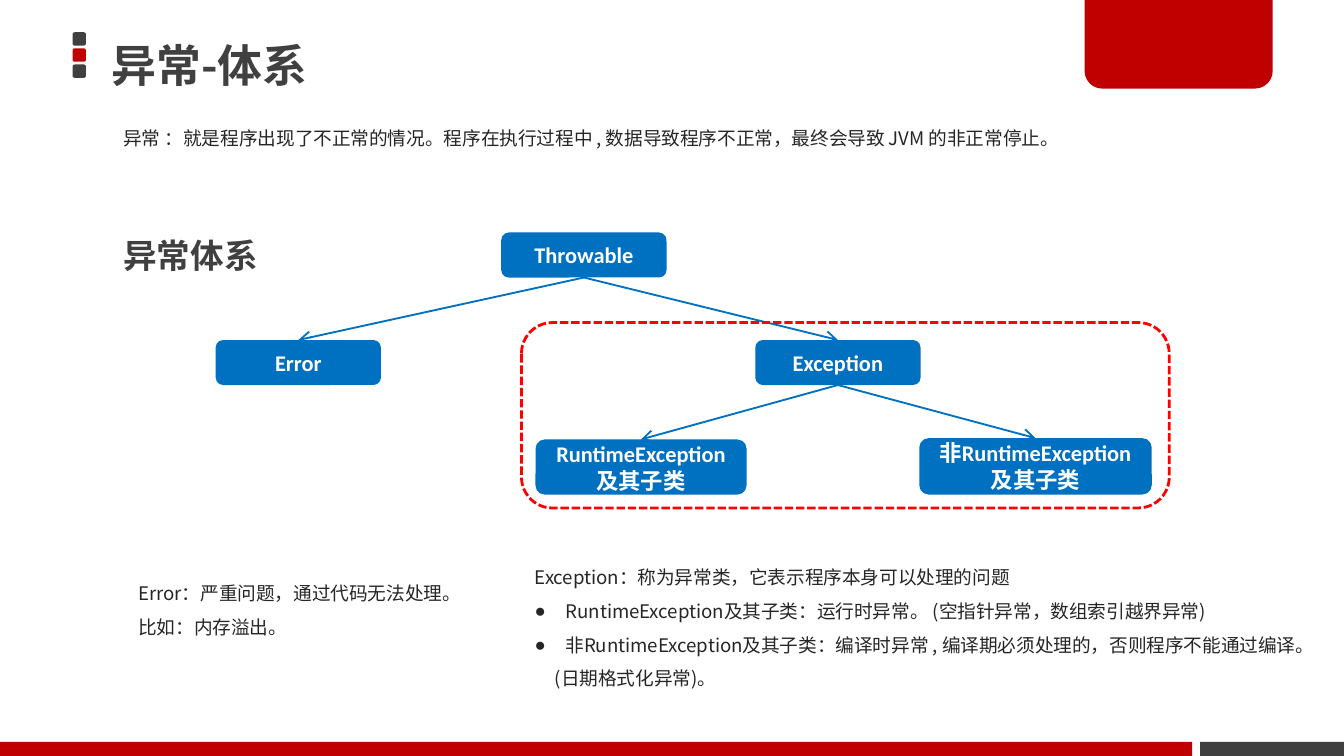
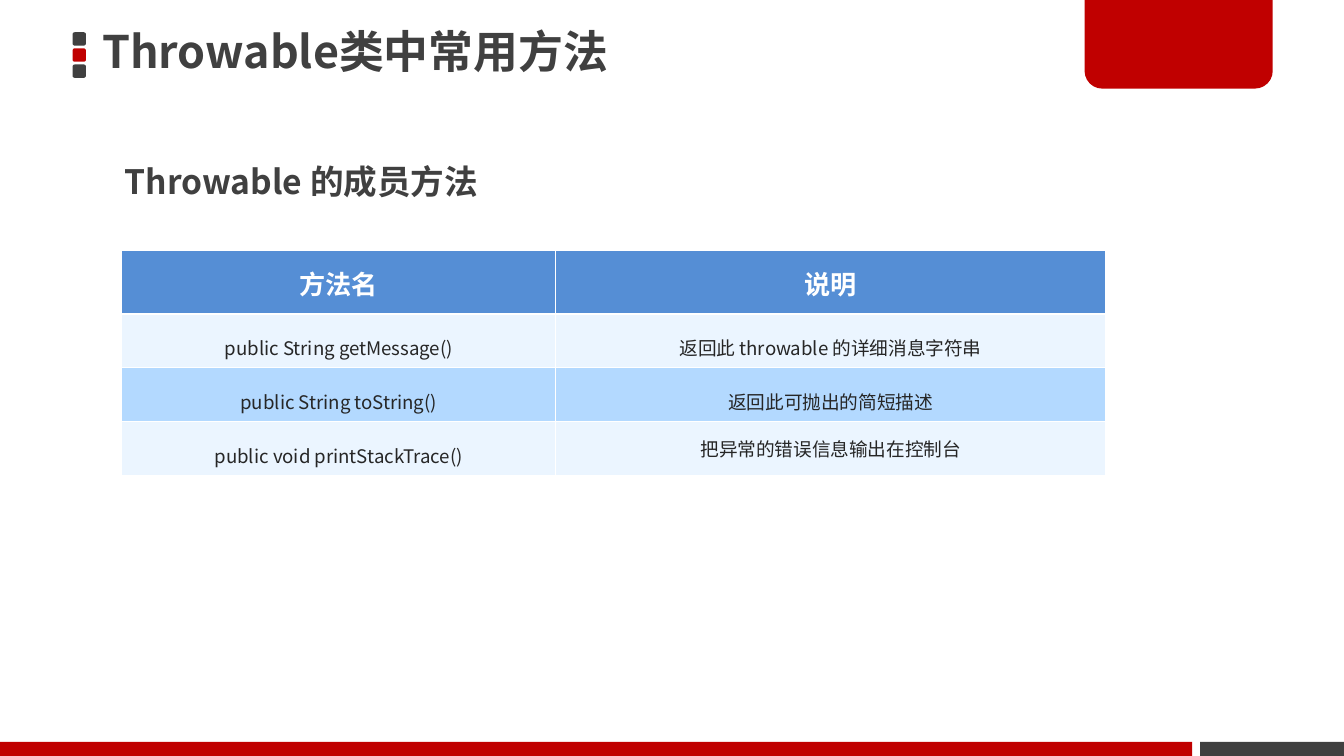
from dataclasses import dataclass

from lxml.etree import SubElement
from pptx import Presentation
from pptx.dml.color import RGBColor
from pptx.enum.dml import MSO_LINE
from pptx.enum.shapes import MSO_CONNECTOR, MSO_SHAPE
from pptx.enum.text import MSO_ANCHOR, MSO_AUTO_SIZE, PP_ALIGN
from pptx.oxml.ns import qn
from pptx.util import Inches, Pt

COLUMNS, ROWS = 100, 56.25
BOTTOM, TOP = 2, 0


@dataclass(frozen=True)
class Theme:
    dark: str = "404040"
    red: str = "C00000"
    blue: str = "0070C0"
    alert: str = "FF0000"
    ink: str = "262626"
    white: str = "FFFFFF"
    header: str = "558ED5"
    bands: tuple = ("EBF5FF", "B3D9FF")
    title_font: str = "Noto Sans CJK JP"
    body_font: str = "Noto Sans CJK SC"
    node_font: str = "Calibri"
    title_size: float = 24
    heading_size: float = 18
    header_size: float = 14
    node_size: float = 12
    body_size: float = 10
    corner: float = 0.167
    loose: float = 1.5


class SlideBuilder:
    def __init__(self, deck, theme):
        self.deck = deck
        self.theme = theme
        self.page = None

    def across(self, columns):
        return round(self.deck.slide_width * columns / COLUMNS)

    def down(self, rows):
        return round(self.deck.slide_height * rows / ROWS)

    def place(self, left, top, width, height):
        return self.across(left), self.down(top), self.across(width), self.down(height)

    def new_page(self, title, position):
        theme = self.theme
        self.page = self.deck.slides.add_slide(self.deck.slide_layouts[5])
        for index, color in enumerate((theme.dark, theme.red, theme.dark)):
            self.shape(MSO_SHAPE.ROUNDED_RECTANGLE, (5.4, 2.4 + 1.2 * index, 1, 1), color, [theme.corner])
        self.shape(MSO_SHAPE.ROUND_2_SAME_RECTANGLE, (80.7, 0, 14, 6.6), theme.red, [0, 0.2])
        self.shape(MSO_SHAPE.RECTANGLE, (0, 55.2, 88.7, 1.05), theme.red)
        self.shape(MSO_SHAPE.RECTANGLE, (89.3, 55.2, 10.7, 1.05), theme.dark)
        box = self.page.shapes.title
        box.left, box.top, box.width, box.height = self.place(*position)
        frame = box.text_frame
        frame.text = title
        frame.auto_size = MSO_AUTO_SIZE.NONE
        frame.vertical_anchor = MSO_ANCHOR.MIDDLE
        self.insets(frame, 0.8, 0.4)
        self.style(frame.paragraphs[0], theme.title_size, theme.dark, theme.title_font, bold=True, spacing=0.9)

    def insets(self, frame, side, edge):
        frame.margin_left, frame.margin_right = self.across(side), 0
        frame.margin_top = frame.margin_bottom = self.down(edge)

    def style(self, para, size, color, font, bold=False, align=PP_ALIGN.LEFT, spacing=1.0):
        para.alignment = align
        para.line_spacing = spacing
        for span in para.runs:
            span.font.size = Pt(size)
            span.font.bold = bold
            span.font.name = font
            span.font.color.rgb = RGBColor.from_string(color)
            east_asian = self.theme.body_font if font == self.theme.node_font else font
            SubElement(span.font._element, qn("a:ea")).set("typeface", east_asian)

    def shape(self, preset, position, fill=None, adjustments=()):
        box = self.page.shapes.add_shape(preset, *self.place(*position))
        box.shadow.inherit = False
        box.line.fill.background()
        if fill:
            box.fill.solid()
            box.fill.fore_color.rgb = RGBColor.from_string(fill)
        else:
            box.fill.background()
        for index, value in enumerate(adjustments):
            box.adjustments[index] = value
        return box

    def node(self, text, position):
        theme = self.theme
        box = self.shape(MSO_SHAPE.ROUNDED_RECTANGLE, position, theme.blue, [theme.corner])
        frame = box.text_frame
        frame.text = text
        frame.word_wrap = True
        frame.vertical_anchor = MSO_ANCHOR.MIDDLE
        frame.margin_top = frame.margin_bottom = 0
        self.style(frame.paragraphs[0], theme.node_size, theme.white, theme.node_font, True, PP_ALIGN.CENTER)
        return box

    def dashed_frame(self, position):
        box = self.shape(MSO_SHAPE.ROUNDED_RECTANGLE, position, adjustments=[self.theme.corner])
        box.line.color.rgb = RGBColor.from_string(self.theme.alert)
        box.line.width = Pt(1.5)
        box.line.dash_style = MSO_LINE.SQUARE_DOT

    def arrow(self, parent, child):
        link = self.page.shapes.add_connector(MSO_CONNECTOR.STRAIGHT, 0, 0, 0, 0)
        link.begin_connect(parent, BOTTOM)
        link.end_connect(child, TOP)
        link.line.color.rgb = RGBColor.from_string(self.theme.blue)
        link.line.width = Pt(1)
        SubElement(link.line._get_or_add_ln(), qn("a:tailEnd")).set("type", "arrow")
        SubElement(link._element.spPr, qn("a:effectLst"))

    def text_box(self, lines, position):
        frame = self.page.shapes.add_textbox(*self.place(*position)).text_frame
        frame.text = "\n".join(lines)
        frame.word_wrap = True
        self.insets(frame, 1, 0.5)
        return frame.paragraphs

    def heading(self, text, position):
        theme = self.theme
        para = self.text_box([text], position)[0]
        self.style(para, theme.heading_size, theme.dark, theme.body_font, True, spacing=theme.loose)

    def body(self, lines, position):
        theme = self.theme
        paragraphs = self.text_box(lines, position)
        for para in paragraphs:
            self.style(para, theme.body_size, theme.ink, theme.body_font, spacing=theme.loose)
        return paragraphs

    def indent(self, para, columns, bullet=None):
        properties = para._p.get_or_add_pPr()
        properties.set("marL", str(self.across(columns)))
        properties.set("indent", str(-self.across(columns) if bullet else 0))
        if bullet:
            color = SubElement(properties, qn("a:buClr"))
            SubElement(color, qn("a:srgbClr")).set("val", self.theme.ink)
            SubElement(properties, qn("a:buFont")).set("typeface", "Arial")
            SubElement(properties, qn("a:buChar")).set("char", bullet)

    def borders(self, cell, top, bottom):
        properties = cell._tc.get_or_add_tcPr()
        for side, width in (("L", 0.45), ("R", 0.45), ("T", top), ("B", bottom)):
            line = SubElement(properties, qn(f"a:ln{side}"), w=str(Pt(width)))
            fill = SubElement(line, qn("a:solidFill"))
            SubElement(fill, qn("a:srgbClr")).set("val", self.theme.white)

    def table(self, records, position, column_widths, row_heights):
        theme = self.theme
        grid = self.page.shapes.add_table(len(records), len(records[0]), *self.place(*position)).table
        grid.horz_banding = False
        for column, width in zip(grid.columns, column_widths):
            column.width = self.across(width)
        for row, height in zip(grid.rows, row_heights):
            row.height = self.down(height)
        for row_index, record in enumerate(records):
            is_header = row_index == 0
            for column_index, text in enumerate(record):
                cell = grid.cell(row_index, column_index)
                cell.text = text
                self.borders(cell, 1.47 if row_index == 1 else 0.45, 1.47 if is_header else 0.45)
                cell.fill.solid()
                fill = theme.header if is_header else theme.bands[(row_index - 1) % 2]
                cell.fill.fore_color.rgb = RGBColor.from_string(fill)
                cell.vertical_anchor = MSO_ANCHOR.TOP if is_header else MSO_ANCHOR.MIDDLE
                para = cell.text_frame.paragraphs[0]
                if is_header:
                    self.style(para, theme.header_size, theme.white, theme.body_font,
                               True, PP_ALIGN.CENTER, Pt(24))
                else:
                    self.style(para, theme.body_size, theme.ink, theme.body_font,
                               False, PP_ALIGN.CENTER, theme.loose)
        return grid


def build_hierarchy(builder):
    builder.new_page("异常-体系", (7.5, 0.6, 58.9, 8.9))
    builder.body(["异常 ：就是程序出现了不正常的情况。程序在执行过程中 , 数据导致程序不正常，最终会导致 JVM 的非正常停止。"],
                 (8.2, 8.1, 77.6, 3.5))
    builder.heading("异常体系", (8.2, 15.5, 28, 5.5))
    builder.body(["Error：严重问题，通过代码无法处理。", "比如：内存溢出。"], (9.3, 42, 27.9, 6))

    throwable = builder.node("Throwable", (37.3, 17.3, 12.3, 3.35))
    error = builder.node("Error", (16.05, 25.3, 12.3, 3.35))
    exception = builder.node("Exception", (56.2, 25.3, 12.3, 3.35))
    runtime = builder.node("RuntimeException及其子类", (39.85, 32.7, 15.7, 4.1))
    checked = builder.node("非RuntimeException及其子类", (68.4, 32.6, 17.3, 4.2))
    for parent, children in ((throwable, (exception, error)), (exception, (checked, runtime))):
        for child in children:
            builder.arrow(parent, child)

    paragraphs = builder.body([
        "Exception：称为异常类，它表示程序本身可以处理的问题",
        "RuntimeException及其子类：运行时异常。 (空指针异常，数组索引越界异常)",
        "非RuntimeException及其子类：编译时异常 , 编译期必须处理的，否则程序不能通过编译。",
        "(日期格式化异常)。",
    ], (38.8, 40.8, 61.2, 11))
    for para in paragraphs[1:3]:
        builder.indent(para, 2.3, "●")
    builder.indent(paragraphs[3], 1.5)
    builder.dashed_frame((38.8, 24, 48.2, 13.8))


def build_methods(builder):
    builder.new_page("Throwable类中常用方法", (6.8, 1.9, 71.9, 4.2))
    records = [
        ("方法名", "说明"),
        ("public String getMessage()", "返回此 throwable 的详细消息字符串"),
        ("public String toString()", "返回此可抛出的简短描述"),
        ("public void printStackTrace()", "把异常的错误信息输出在控制台"),
    ]
    grid = builder.table(records, (9.05, 18.65, 73.2, 16.7), (32.3, 40.9), (4.7, 4, 4, 4))
    grid.cell(3, 1).text_frame.paragraphs[0].line_spacing = 1.0
    builder.heading("Throwable 的成员方法", (8.3, 10, 72.5, 5.5))


def main():
    deck = Presentation()
    deck.slide_width, deck.slide_height = Inches(10), Inches(5.625)
    builder = SlideBuilder(deck, Theme())
    build_hierarchy(builder)
    build_methods(builder)
    deck.save("out.pptx")


if __name__ == "__main__":
    main()
